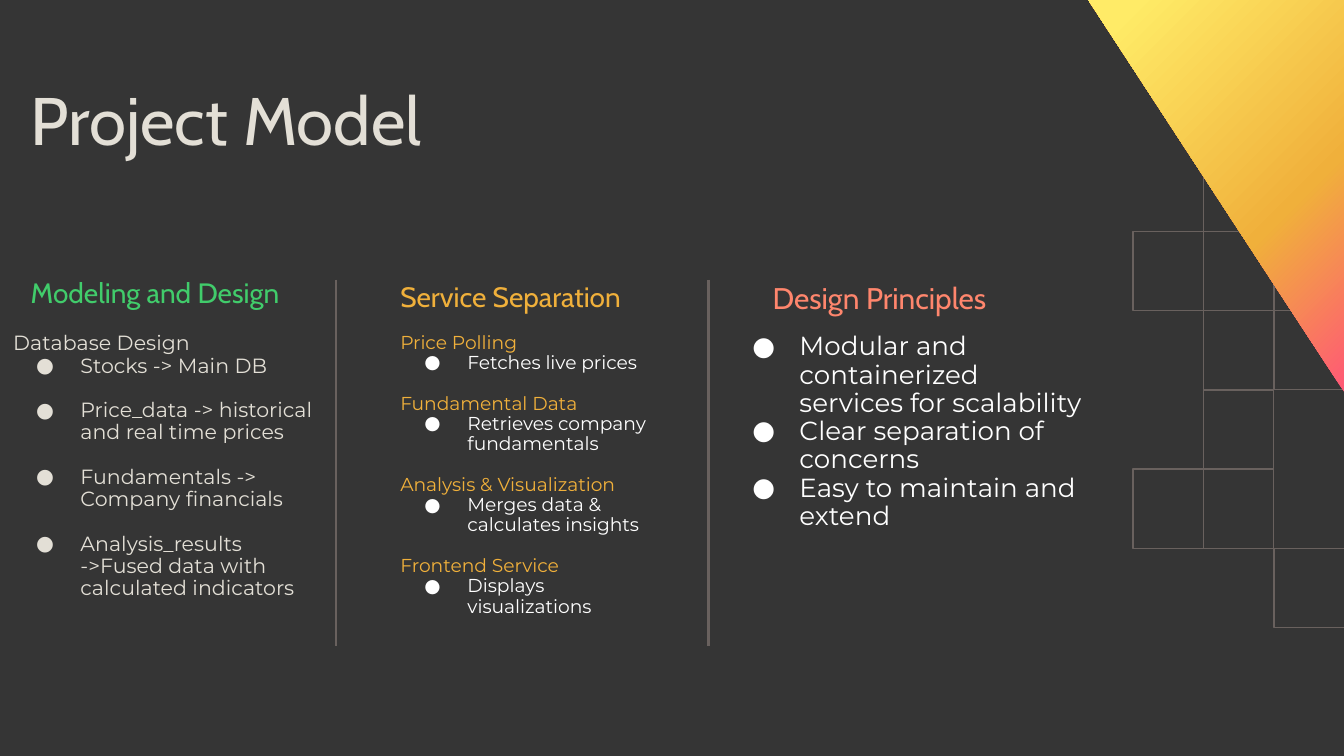
from lxml.etree import SubElement as Sub
from pptx import Presentation
from pptx.dml.color import RGBColor as RGB
from pptx.enum.shapes import MSO_CONNECTOR as Link, MSO_SHAPE as Kind
from pptx.enum.text import MSO_ANCHOR as Anchor
from pptx.oxml.ns import qn
from pptx.util import Inches, Pt

DARK = RGB(0x35, 0x35, 0x35)
GREY = RGB(0x69, 0x61, 0x5E)
CREAM = RGB(0xE3, 0xDF, 0xD6)
WHITE = RGB(0xFF, 0xFF, 0xFF)
GREEN = RGB(0x41, 0xCC, 0x6B)
GOLD = RGB(0xF0, 0xB0, 0x3B)
CORAL = RGB(0xFF, 0x86, 0x6D)
PINK = RGB(0xFF, 0x57, 0x77)
LEMON = RGB(0xFF, 0xEB, 0x67)

HEAD, BODY = "Cabin", "Montserrat"
TOP, LIST, END = 37, 42.3, 85.4
TILE_W, TILE_H = 5.24, 10.49
TILES = [(1, 0), (2, 0), (0, 1), (1, 1), (2, 1), (1, 2), (2, 2),
         (1, 3), (0, 4), (1, 4), (2, 5)]

TABLES = ["Stocks -> Main DB",
          "Price_data -> historical and real time prices",
          "Fundamentals -> Company financials",
          "Analysis_results ->Fused data with calculated indicators"]
PARTS = [("Price Polling", "Fetches live prices"),
         ("Fundamental Data", "Retrieves company fundamentals"),
         ("Analysis & Visualization", "Merges data & calculates insights"),
         ("Frontend Service", "Displays visualizations")]
RULES = ["Modular and containerized services for scalability",
         "Clear separation of concerns",
         "Easy to maintain and extend"]


class Deck:
    """Draws on one slide; every length is a percentage of its size."""

    def __init__(self):
        self.show = Presentation()
        self.show.slide_width = Inches(10)
        self.show.slide_height = Inches(5.625)
        self.slide = self.show.slides.add_slide(self.show.slide_layouts[6])
        self.shapes = self.slide.shapes
        back = self.slide.background.fill
        back.solid()
        back.fore_color.rgb = DARK

    def scale(self, x, y):
        return (round(self.show.slide_width * x / 100),
                round(self.show.slide_height * y / 100))

    def tile(self, x, y, w, h):
        box = self.shapes.add_shape(Kind.RECTANGLE, *self.scale(x, y), *self.scale(w, h))
        box.shadow.inherit = False
        box.fill.background()
        box.line.color.rgb = GREY
        box.line.width = Pt(0.75)

    def corner(self, points, stops, angle):
        """Outline filled with a gradient, its angle clockwise in degrees."""
        first, *rest = [self.scale(*point) for point in points]
        pen = self.shapes.build_freeform(*first)
        pen.add_line_segments(rest)
        shape = pen.convert_to_shape()
        shape.shadow.inherit = False
        shape.line.fill.background()
        shape.fill.gradient()
        shape.fill.gradient_angle = 360 - angle
        steps = shape.element.spPr.find(qn("a:gradFill")).find(qn("a:gsLst"))
        for old in list(steps):
            steps.remove(old)
        for place, color in stops:
            stop = Sub(steps, qn("a:gs"), pos=str(place * 1000))
            Sub(stop, qn("a:srgbClr"), val=str(color))

    def rule(self, x):
        line = self.shapes.add_connector(
            Link.STRAIGHT, *self.scale(x, TOP), *self.scale(x, END))
        line.line.color.rgb = GREY
        line.line.width = Pt(1.5)
        Sub(line.element.spPr, qn("a:effectLst"))

    def frame(self, x, y, w, h, top=0.1, right=0.1):
        """Empty text frame; top and right are insets in inches."""
        text = self.shapes.add_textbox(*self.scale(x, y), *self.scale(w, h)).text_frame
        text.word_wrap = True
        text.vertical_anchor = Anchor.TOP
        text.margin_left = text.margin_bottom = Inches(0.1)
        text.margin_top, text.margin_right = Inches(top), Inches(right)
        return text

    def put(self, frame, words, size, color, font=BODY, pitch=0.9, gap=0, dent=0):
        """Add a paragraph, bulleted when dent (hanging inches) is given."""
        para = frame.paragraphs[0]
        if para.runs:
            para = frame.add_paragraph()
        para.line_spacing = pitch
        para.space_before = Pt(gap)
        run = para.add_run()
        run.text = words
        run.font.name, run.font.size = font, Pt(size)
        run.font.color.rgb = color
        if dent:
            props = para._p.get_or_add_pPr()
            props.set("marL", str(Inches(0.5)))
            props.set("indent", str(-Inches(dent)))
            Sub(Sub(props, qn("a:buClr")), qn("a:srgbClr"), val=str(color))
            Sub(props, qn("a:buFont"), typeface=font)
            Sub(props, qn("a:buChar"), char="●")

    def title(self, words, x, w, size, color, pitch=1.0):
        frame = self.frame(x, TOP, w, 10.1, top=0)
        self.put(frame, words, size, color, HEAD, pitch)

    def column(self, x, w):
        return self.frame(x, LIST, w, 41.1, right=0)


def main():
    deck = Deck()
    for col, row in TILES:
        deck.tile(84.3 + col * TILE_W, 20.1 + row * TILE_H, TILE_W, TILE_H)
    deck.corner([(80.9, -0.2), (100.1, -0.2), (100.1, 52.1)],
                [(0, PINK), (37, GOLD), (92, LEMON), (100, LEMON)], 225)

    deck.put(deck.frame(1.3, 9.8, 66.2, 13.3), "Project Model", 36, CREAM, HEAD)
    deck.title("Modeling and Design", 1.3, 22.2, 15, GREEN, 0.9)
    deck.title("Service Separation", 28.8, 20.1, 15, GOLD)
    deck.title("Design Principles", 56.5, 20.1, 16, CORAL)

    tables = deck.column(0, 24.2)
    deck.put(tables, "Database Design", 11, CREAM)
    for num, words in enumerate(TABLES):
        deck.put(tables, words, 11, CREAM, gap=12 if num else 0, dent=0.33)

    parts = deck.column(28.8, 20.1)
    for num, (name, task) in enumerate(PARTS):
        deck.put(parts, name, 10, GOLD, gap=11 if num else 0)
        deck.put(parts, task, 10, WHITE, dent=0.32)

    rules = deck.column(53.5, 27.2)
    for words in RULES:
        deck.put(rules, words, 14, WHITE, dent=0.35)

    for x in (25, 52.7):
        deck.rule(x)
    deck.show.save("out.pptx")


if __name__ == "__main__":
    main()
